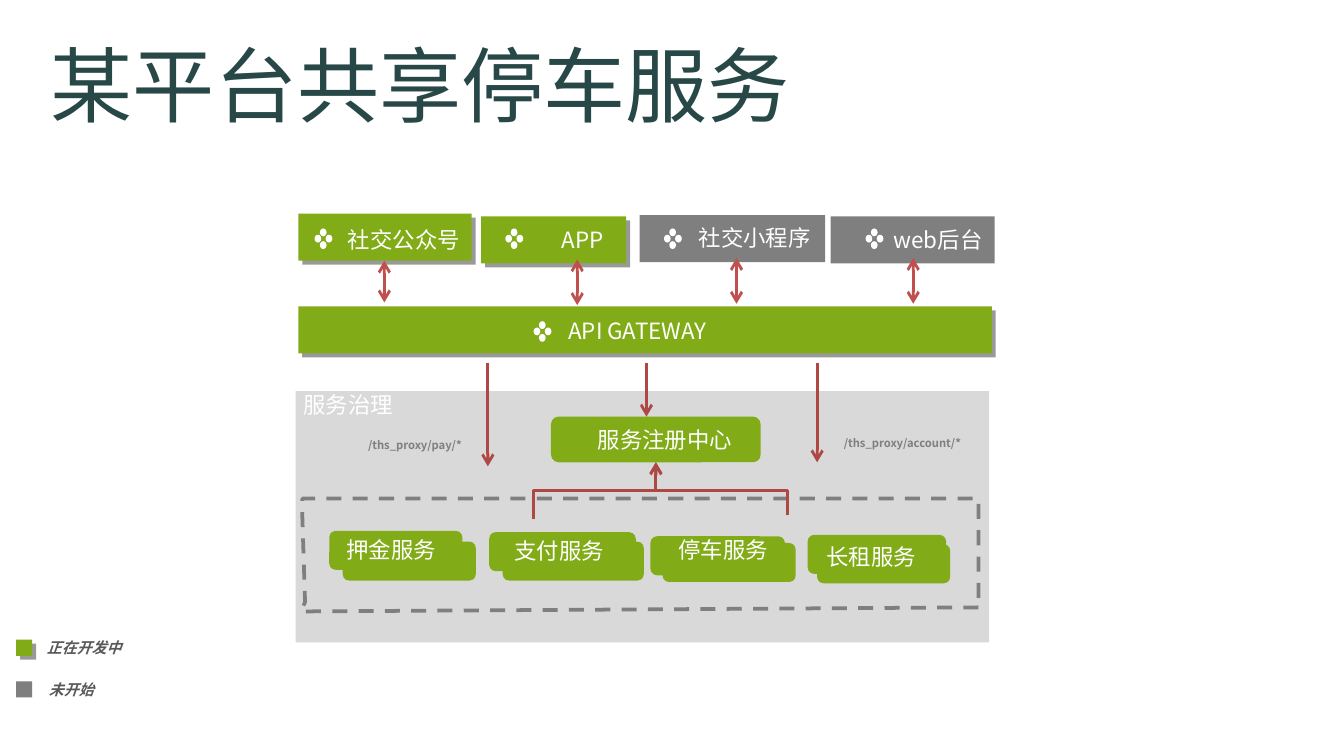
from typing import NamedTuple

from lxml.etree import SubElement
from pptx import Presentation
from pptx.dml.color import RGBColor
from pptx.enum.dml import MSO_LINE
from pptx.enum.shapes import MSO_CONNECTOR, MSO_SHAPE
from pptx.enum.text import MSO_ANCHOR, MSO_AUTO_SIZE, PP_ALIGN
from pptx.oxml.ns import qn
from pptx.util import Inches, Pt

# Grid: 100 columns by 56.25 rows, each a tenth of an inch
CELL = Inches(0.1)
COLUMNS, ROWS = 100, 56.25
FONT = "Noto Sans CJK SC"
COLORS = {
    "title": "284848", "active": "81AC18", "pending": "7F7F7F",
    "panel": "D9D9D9", "white": "FFFFFF", "legend": "595959",
    "client_arrow": "C0504D", "service_arrow": "AE4845", "shadow": "000000",
}


class Box(NamedTuple):
    column: float
    row: float
    width: float
    height: float


class Point(NamedTuple):
    column: float
    row: float


class Banner(NamedTuple):
    text: str
    box: Box
    icon: Point
    label: Box
    color: str


class Service(NamedTuple):
    text: str
    back: Box
    front: Box
    label: Box


class Legend(NamedTuple):
    text: str
    swatch: Box
    label: Box
    color: str


BANNERS = [
    Banner("社交公众号", Box(22.2, 15.9, 12.9, 3.5), Point(23.4, 17), Box(24.9, 16.3, 10.8, 3), "active"),
    Banner("APP", Box(35.8, 16.1, 10.8, 3.5), Point(37.6, 17), Box(40.8, 16.3, 5.9, 3), "active"),
    Banner("社交小程序", Box(47.6, 16, 13.8, 3.5), Point(49.4, 17), Box(51, 16.2, 12.2, 3), "pending"),
    Banner("web后台", Box(61.8, 16.1, 12.2, 3.5), Point(64.4, 17), Box(65.5, 16.3, 12.2, 3), "pending"),
    Banner("API GATEWAY", Box(22.2, 22.8, 51.6, 3.5), Point(39.7, 23.9), Box(41.3, 23.1, 13.9, 3), "active"),
]
SERVICES = [
    Service("押金服务", Box(25.5, 40.3, 9.9, 2.9), Box(24.5, 39.5, 9.9, 2.9), Box(24.8, 39.4, 10.8, 3)),
    Service("支付服务", Box(37.4, 40.3, 10.5, 2.9), Box(36.4, 39.6, 10.9, 2.9), Box(37.3, 39.5, 10.8, 3)),
    Service("停车服务", Box(49.3, 40.4, 9.9, 2.9), Box(48.4, 39.9, 10, 2.9), Box(49.5, 39.4, 10.8, 3)),
    Service("长租服务", Box(60.8, 40.5, 9.9, 2.9), Box(60.1, 39.8, 10.3, 2.9), Box(60.5, 39.9, 10.8, 3)),
]
LEGENDS = [
    Legend("正在开发中", Box(1.2, 47.6, 1.2, 1.2), Box(2.5, 47, 12.8, 2.4), "active"),
    Legend("未开始", Box(1.2, 50.7, 1.2, 1.2), Box(2.65, 50.1, 12.8, 2.4), "pending"),
]
CLIENT_ARROWS = [
    (Point(28.6, 19.4), Point(28.6, 22.5)), (Point(42.95, 19.3), Point(42.95, 22.7)),
    (Point(54.8, 19.2), Point(54.8, 22.6)), (Point(67.95, 19.2), Point(67.95, 22.6)),
]
GATEWAY_ARROWS = [
    (Point(36.3, 27), Point(36.3, 34.7)), (Point(60.8, 27), Point(60.8, 34.4)),
    (Point(48.1, 27), Point(48.1, 31)),
]
REGISTRY_FOOT = Point(48.8, 34.4)
BUS_ROW = 36.5


def grid(*lengths: float) -> list[int]:
    return [round(length * CELL) for length in lengths]


def rgb(name: str) -> RGBColor:
    return RGBColor.from_string(COLORS[name])


def add_block(shapes, kind, box: Box, color: str, shadow: bool = False) -> None:
    shape = shapes.add_shape(kind, *grid(*box))
    shape.shadow.inherit = False
    shape.fill.solid()
    shape.fill.fore_color.rgb = rgb(color)
    shape.line.fill.background()
    if shadow:
        effects = shape._element.spPr.find(qn("a:effectLst"))
        outer = SubElement(effects, qn("a:outerShdw"), blurRad="0", dist=str(Pt(3)),
                           dir=str(45 * 60000), algn="tl", rotWithShape="0")
        tint = SubElement(outer, qn("a:srgbClr"), val=COLORS["shadow"])
        SubElement(tint, qn("a:alpha"), val="40000")


def add_text(shapes, text: str, box: Box, size: float = 12, color: str = "white",
             bold: bool = False, italic: bool = False, wrap: bool = True,
             anchor=MSO_ANCHOR.MIDDLE, align=PP_ALIGN.LEFT) -> None:
    text_frame = shapes.add_textbox(*grid(*box)).text_frame
    text_frame.text = text
    text_frame.word_wrap = wrap
    text_frame.auto_size = MSO_AUTO_SIZE.SHAPE_TO_FIT_TEXT
    text_frame.vertical_anchor = anchor
    paragraph = text_frame.paragraphs[0]
    paragraph.alignment = align
    run = paragraph.runs[0]
    run.font.size, run.font.bold, run.font.italic = Pt(size), bold, italic
    run.font.color.rgb = rgb(color)
    run.font.name = FONT
    SubElement(run._r.get_or_add_rPr(), qn("a:ea"), typeface=FONT)


def add_icon(shapes, corner: Point) -> None:
    group = shapes.add_group_shape()
    for column, row in ((0.4, 0), (0.83, 0.47), (0, 0.47), (0.4, 0.95)):
        dot = Box(corner.column + column, corner.row + row, 0.5, 0.58)
        add_block(group.shapes, MSO_SHAPE.OVAL, dot, "white")


def add_arrow(shapes, begin: Point, end: Point, color: str,
              both_ends: bool = False, kind=MSO_CONNECTOR.STRAIGHT):
    connector = shapes.add_connector(kind, *grid(*begin, *end))
    connector.line.color.rgb = rgb(color)
    connector.line.width = Pt(1.5)
    line = connector.line._get_or_add_ln()
    for tag in ("a:headEnd", "a:tailEnd") if both_ends else ("a:tailEnd",):
        SubElement(line, qn(tag), type="arrow")
    SubElement(connector._element.spPr, qn("a:effectLst"))
    return connector


def add_riser(shapes, begin: Point, end: Point) -> None:
    """Elbow that rises, crosses along the bus row and rises again."""
    middle = Point((begin.column + end.column) / 2, (begin.row + end.row) / 2)
    across, down = begin.column - middle.column, begin.row - middle.row
    turn, sign = (90, 1) if across < 0 else (270, -1)
    across, down = sign * down, -sign * across
    connector = add_arrow(shapes, Point(middle.column + across, middle.row + down),
                          Point(middle.column - across, middle.row - down),
                          "service_arrow", kind=MSO_CONNECTOR.ELBOW)
    properties = connector._element.spPr
    properties.find(qn("a:xfrm")).set("rot", str(turn * 60000))
    bend = round((begin.row - BUS_ROW) / (begin.row - end.row) * 100000)
    SubElement(properties.find(qn("a:prstGeom")).find(qn("a:avLst")), qn("a:gd"),
               name="adj1", fmla=f"val {bend}")


def main() -> None:
    presentation = Presentation()
    presentation.slide_width = Inches(COLUMNS / 10)
    presentation.slide_height = Inches(ROWS / 10)
    slide = presentation.slides.add_slide(presentation.slide_layouts[6])
    shapes = slide.shapes

    # Title
    add_text(shapes, "某平台共享停车服务", Box(2.8, 2.1, 57.4, 8.4), 44, "title",
             wrap=False, anchor=MSO_ANCHOR.TOP)

    # Governance panel and registry
    add_block(shapes, MSO_SHAPE.RECTANGLE, Box(22, 29.1, 51.6, 18.7), "panel")
    add_text(shapes, "服务治理", Box(21.6, 28.6, 10.8, 3))
    add_block(shapes, MSO_SHAPE.ROUNDED_RECTANGLE, Box(41, 31, 15.6, 3.4), "active")
    add_text(shapes, "服务注册中心", Box(43.5, 31.2, 12.8, 3))
    for route, box in (("/ths_proxy/pay/*", Box(26.4, 32.1, 11.4, 2)),
                       ("/ths_proxy/account/*", Box(61.8, 32, 11.4, 2))):
        add_text(shapes, route, box, 6, "pending", bold=True)

    # Clients and gateway
    for banner in BANNERS:
        add_block(shapes, MSO_SHAPE.RECTANGLE, banner.box, banner.color, banner.color == "active")
        add_icon(shapes, banner.icon)
        add_text(shapes, banner.text, banner.label)

    # Dashed frame around the services
    outline = [(22.4, 45.5), (22.7, 44.8), (22.5, 38.5), (22.5, 37.1), (72.8, 37.1), (72.8, 45.1)]
    builder = shapes.build_freeform(*grid(72.8, 45.2), scale=1.0)
    builder.add_line_segments([tuple(grid(*point)) for point in outline], close=False)
    frame = builder.convert_to_shape()
    frame.shadow.inherit = False
    frame.fill.background()
    frame.line.color.rgb = rgb("pending")
    frame.line.width = Pt(2)
    frame.line.dash_style = MSO_LINE.DASH

    # Arrows
    for begin, end in CLIENT_ARROWS:
        add_arrow(shapes, begin, end, "client_arrow", both_ends=True)
    for begin, end in GATEWAY_ARROWS:
        add_arrow(shapes, begin, end, "service_arrow")
    for begin in (Point(39.7, 38.6), Point(58.6, 38.3)):
        add_riser(shapes, begin, REGISTRY_FOOT)

    # Stacked services
    for service in SERVICES:
        for box in (service.back, service.front):
            add_block(shapes, MSO_SHAPE.ROUNDED_RECTANGLE, box, "active")
        add_text(shapes, service.text, service.label)

    # Legend
    for legend in LEGENDS:
        add_block(shapes, MSO_SHAPE.RECTANGLE, legend.swatch, legend.color, legend.color == "active")
        add_text(shapes, legend.text, legend.label, 8, "legend", bold=True, italic=True,
                 align=PP_ALIGN.JUSTIFY)

    presentation.save("out.pptx")


if __name__ == "__main__":
    main()
